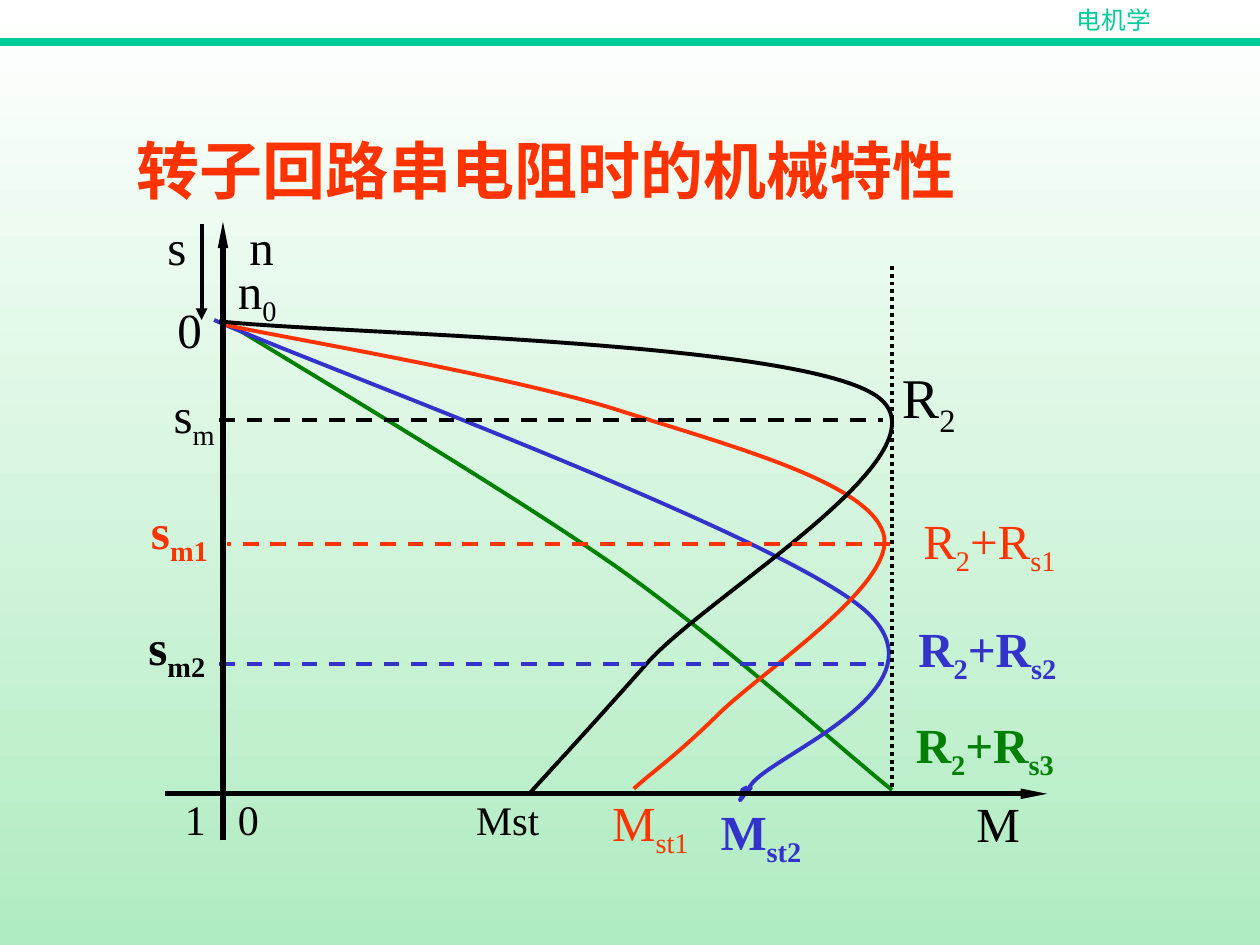
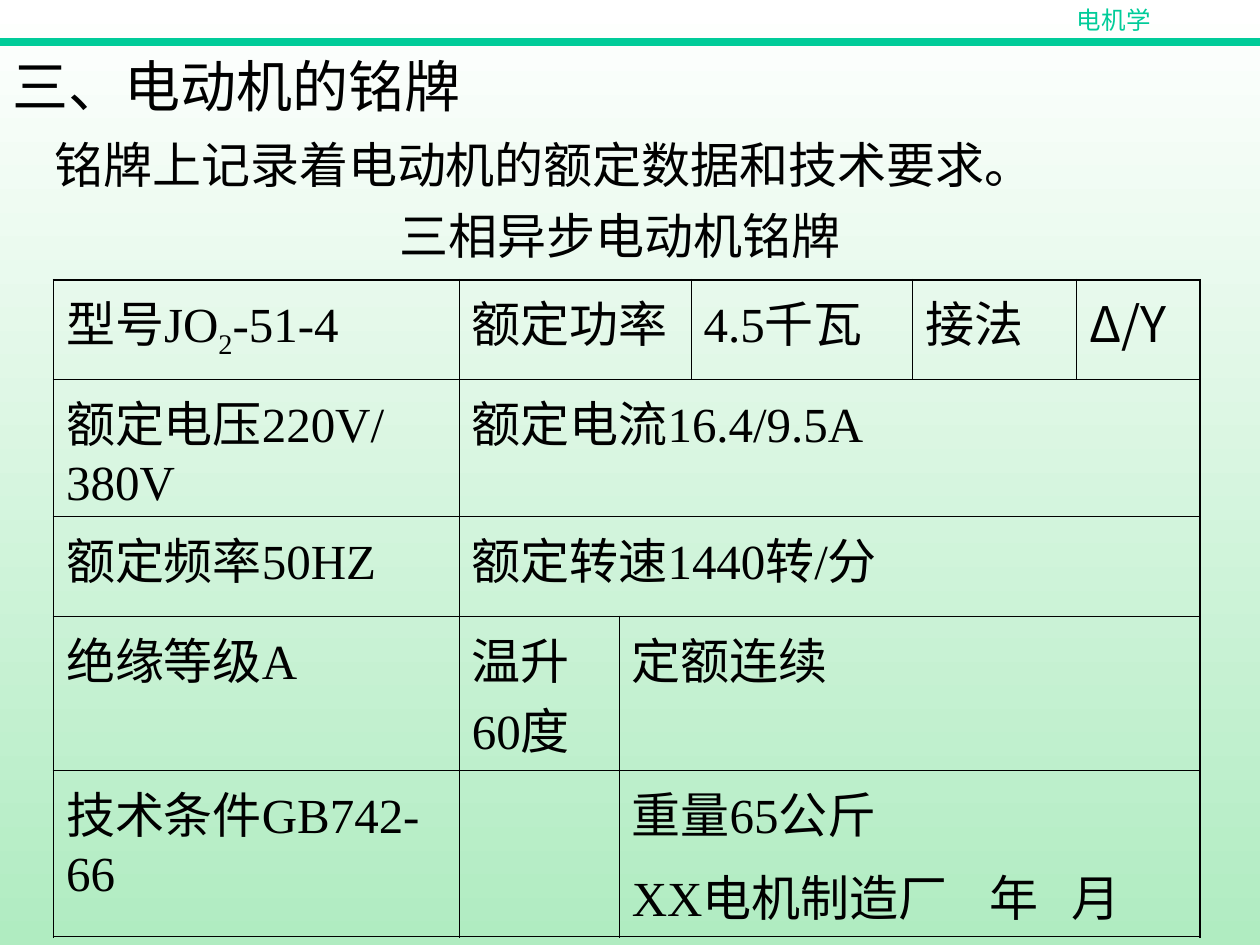
from typing import NamedTuple

from lxml import etree
from pptx import Presentation
from pptx import util as u
from pptx.dml.color import RGBColor
from pptx.enum import dml, text
from pptx.enum.shapes import MSO_CONNECTOR
from pptx.oxml.ns import qn

# The slide is a grid of 100 columns by 75 rows.
CELL = u.Inches(0.1)
COLS, ROWS = 100, 75
LATIN, CJK = "Times New Roman", "Noto Sans CJK SC"
COLORS = {
    "black": "000000", "teal": "00CC99", "red": "FF3300", "blue": "3333CC",
    "green": "008000", "white": "FFFFFF", "mint": "B0ECC1",
}
DASH, DOT = dml.MSO_LINE.DASH, dml.MSO_LINE.ROUND_DOT

Point = tuple[float, float]


class Box(NamedTuple):
    x: float
    y: float
    w: float
    h: float


class Label(NamedTuple):
    """Words split by bars: every second part is a subscript."""
    words: str
    box: Box
    color: str = "black"
    bold: bool = False
    size: float = 28
    tabs: tuple[float, ...] = ()


class Rule(NamedTuple):
    start: Point
    end: Point
    color: str = "black"
    width: float = 2.25
    dash: dml.MSO_LINE | None = None
    head: tuple[str, str] | None = None  # arrowhead width and length


class Curve(NamedTuple):
    """Bezier chain: a start point, then three points for each piece."""
    color: str
    points: list[Point]


def g(cells: float) -> int:
    return round(cells * CELL)


def rgb(name: str) -> RGBColor:
    return RGBColor.from_string(COLORS[name])


def place(sp, box: Box) -> None:
    sp.left, sp.top, sp.width, sp.height = map(g, box)


def write(p, words: str, size: float, color: str = "black", bold: bool = False,
          latin: str = LATIN, tabs: tuple[float, ...] = ()) -> None:
    """Fill a paragraph; parts after odd bars become subscripts."""
    if tabs:
        tab_list = etree.SubElement(p._p.get_or_add_pPr(), qn("a:tabLst"))
        for stop in tabs:
            etree.SubElement(tab_list, qn("a:tab"), pos=str(g(stop)), algn="l")
    for i, part in enumerate(words.split("|")):
        if not part:
            continue
        r = p.add_run()
        r.text = part
        if i % 2:
            r._r.get_or_add_rPr().set("baseline", "-25000")
    f = p.font
    f.size, f.bold, f.name = u.Pt(size), bold, latin
    f.color.rgb = rgb(color)
    etree.SubElement(p._p.pPr.find(qn("a:defRPr")), qn("a:ea"), typeface=CJK)


def add_label(s, label: Label):
    sp = s.shapes.add_textbox(*map(g, label.box))
    tf = sp.text_frame
    tf.word_wrap = True
    write(tf.paragraphs[0], label.words, label.size, label.color, label.bold, tabs=label.tabs)
    return tf


def add_rule(s, rule: Rule) -> None:
    sp = s.shapes.add_connector(MSO_CONNECTOR.STRAIGHT, *map(g, rule.start + rule.end))
    sp.line.color.rgb = rgb(rule.color)
    sp.line.width = u.Pt(rule.width)
    if rule.dash:
        sp.line.dash_style = rule.dash
    if rule.head:
        width, length = rule.head
        etree.SubElement(sp.line._ln, qn("a:tailEnd"), type="triangle", w=width, len=length)
    etree.SubElement(sp._element.spPr, qn("a:effectLst"))


def add_curve(s, curve: Curve) -> None:
    """Build a polygon through the control points, then join each three into a Bezier piece."""
    first, *rest = [(g(x), g(y)) for x, y in curve.points]
    pen = s.shapes.build_freeform(*first, scale=1.0)
    pen.add_line_segments(rest, close=False)
    sp = pen.convert_to_shape()
    track = next(sp._element.iter(qn("a:path")))
    lines = track.findall(qn("a:lnTo"))
    for i in range(0, len(lines), 3):
        piece = etree.SubElement(track, qn("a:cubicBezTo"))
        for line in lines[i:i + 3]:
            piece.append(line[0])
            track.remove(line)
    sp.shadow.inherit = False
    sp.fill.background()
    sp.line.color.rgb = rgb(curve.color)
    sp.line.width = u.Pt(2.25)


def set_background(prs) -> None:
    fill = prs.slide_master.background.fill
    fill.gradient()
    fill.gradient_angle = 270
    for stop, name in zip(fill.gradient_stops, ("white", "mint")):
        stop.color.rgb = rgb(name)


def new_slide(prs, title: str, box: Box, size: float, color: str, bold: bool):
    """Title-only slide with the course band on top."""
    s = prs.slides.add_slide(prs.slide_layouts[5])
    add_rule(s, Rule((0, 3.3), (COLS, 3.3), "teal", 4.5))
    tf = add_label(s, Label("电机学", Box(80.9, 0, 15, 3.2), "teal", size=14))
    tf.vertical_anchor = text.MSO_ANCHOR.MIDDLE
    tf.paragraphs[0].alignment = text.PP_ALIGN.CENTER
    place(s.shapes.title, box)
    tf = s.shapes.title.text_frame
    tf.vertical_anchor = text.MSO_ANCHOR.TOP
    tf.auto_size = text.MSO_AUTO_SIZE.NONE
    p = tf.paragraphs[0]
    p.alignment = text.PP_ALIGN.LEFT
    write(p, title, size, color, bold)
    return s


AXIS_X, AXIS_Y, M_MAX = 17.7, 63, 70.8

CURVES = [
    Curve("green", [(17.5, 25.3), (22.7, 28.5), (39.9, 38.7), (48.8, 44.9),
                    (57.7, 51.2), (66.2, 59), (70.8, 62.7)]),
    Curve("blue", [(17, 25.4), (25.6, 29.2), (61.5, 42.3), (68.6, 48.4),
                   (75.7, 54.6), (61.2, 59.9), (59.6, 62.3),
                   (58, 64.7), (59.1, 62.8), (59.1, 62.9),
                   (59, 62.9), (59.2, 62.7), (59.3, 62.7),
                   (59.3, 62.6), (59.6, 62.5), (59.6, 62.5),
                   (59.6, 62.5), (59.5, 62.7), (59.4, 62.7),
                   (59.4, 62.7), (59.3, 62.7), (59.3, 62.7),
                   (59.2, 62.7), (58.9, 62.7), (58.9, 62.7),
                   (58.9, 62.7), (59.2, 62.5), (59.3, 62.5)]),
    Curve("red", [(17.9, 25.8), (23.1, 26.9), (40.2, 29.8), (48.9, 32.5),
                  (57.6, 35.3), (68.8, 38.2), (70.1, 42.3),
                  (71.4, 46.3), (60.1, 53.5), (56.8, 56.9),
                  (53.4, 60.2), (51.6, 61.4), (50.3, 62.6)]),
    Curve("black", [(17.4, 25.5), (26.1, 26.5), (64.1, 27), (69.8, 31.6),
                    (75.4, 36.1), (55.9, 47.4), (51.3, 52.7),
                    (46.7, 57.9), (43.9, 60.9), (42, 63)]),
]

RULES = [
    Rule((17.4, 52.7), (70.2, 52.7), "blue", dash=DASH),
    Rule((70.6, 43.15), (18, 43.15), "red", dash=DASH),
    Rule((17.4, 33.3), (70.1, 33.3), dash=DASH),
    Rule((M_MAX, 21.1), (M_MAX, 63.1), dash=DOT),
    Rule((AXIS_X, 66.7), (AXIS_X, 17.6), width=3, head=("sm", "lg")),
    Rule((13.1, AXIS_Y), (83.1, AXIS_Y), width=3, head=("sm", "lg")),
    Rule((16, 17.8), (16, 25.4), head=("med", "med")),
]

LABELS = [
    Label("R|2|+R|s3", Box(71.7, 56.2, 14.2, 6.3), "green", True),
    Label("R|2|+R|s2", Box(71.9, 48.6, 15.7, 6.3), "blue", True),
    Label("R|2|+R|s1", Box(72.3, 40, 13.3, 6.3), "red"),
    Label("R|2", Box(70.6, 28.3, 9.2, 7.1), size=32),
    Label("s|m", Box(12.8, 30, 9.2, 6.3)),
    Label("s|m1", Box(11, 39.2, 8.3, 6.3), "red", True),
    Label("s|m2", Box(10.8, 48.4, 8.3, 6.3), bold=True),
    Label("M|st1", Box(47.6, 62.4, 8.6, 6.3), "red"),
    Label("M|st2", Box(56.2, 63.1, 9.2, 6.3), "blue", True),
    Label("|Mst", Box(36.8, 58.9, 9.4, 8.6), size=40),
    Label("M", Box(76.5, 62.5, 8.3, 5.7)),
    Label("1\t0", Box(13.7, 62.5, 9.4, 5), size=24, tabs=(4.2,)),
    Label("s\tn", Box(12.3, 16.7, 12.5, 5.7), tabs=(6.5,)),
    Label("0", Box(13.1, 23.3, 5.8, 5.7)),
    Label("n|0", Box(17.9, 20.2, 6.7, 6.3)),
]


def build_characteristic(prs) -> None:
    s = new_slide(prs, "转子回路串电阻时的机械特性", Box(9.8, 9.9, 85, 10.8), 36, "red", True)
    for draw, items in ((add_curve, CURVES), (add_rule, RULES), (add_label, LABELS)):
        for item in items:
            draw(s, item)


PLATE_COLS = [32.2, 12.7, 5.7, 17.6, 13, 9.8]
PLATE_ROWS = [7.9, 10.9, 7.9, 12.25, 13.2]
# Each entry: words and the number of columns they cover.
PLATE = [
    [("型号JO|2|-51-4", 1), ("额定功率", 2), ("4.5千瓦", 1), ("接法", 1), ("Δ/Y", 1)],
    [("额定电压220V/380V", 1), ("额定电流16.4/9.5A", 5)],
    [("额定频率50HZ", 1), ("额定转速1440转/分", 5)],
    [("绝缘等级A", 1), ("温升60度", 1), ("定额连续", 4)],
    [("技术条件GB742-66", 1), ("", 1), ("重量65公斤\nXX电机制造厂\t年\t月", 4)],
]
DATE_TABS = (28.4, 34.9)


def set_borders(cell, outer: dict[str, bool]) -> None:
    """Thick lines on the sides that lie on the table's edge, thin ones elsewhere."""
    tc_pr = cell._tc.get_or_add_tcPr()
    for side, on_edge in outer.items():
        ln = etree.SubElement(tc_pr, qn(f"a:ln{side}"), w=str(u.Pt(1.08 if on_edge else 0.45)))
        fill = etree.SubElement(ln, qn("a:solidFill"))
        etree.SubElement(fill, qn("a:srgbClr"), val=COLORS["black"])


def fill_cell(cell, words: str) -> None:
    tf = cell.text_frame
    for i, line in enumerate(words.split("\n") if words else []):
        p = tf.add_paragraph() if i else tf.paragraphs[0]
        if i:
            p.space_before = u.Pt(7)
        write(p, line, 28, latin=CJK if "Δ" in line else LATIN,
              tabs=DATE_TABS if "\t" in line else ())


def add_plate(s) -> None:
    n_rows, n_cols = len(PLATE_ROWS), len(PLATE_COLS)
    box = Box(4.25, 22.2, sum(PLATE_COLS), sum(PLATE_ROWS))
    table = s.shapes.add_table(n_rows, n_cols, *map(g, box)).table
    table.first_row = table.horz_banding = False
    for col, width in zip(table.columns, PLATE_COLS):
        col.width = g(width)
    for row, height in zip(table.rows, PLATE_ROWS):
        row.height = g(height)
    for r, entries in enumerate(PLATE):
        c = 0
        for words, span in entries:
            end = c + span - 1
            if span > 1:
                table.cell(r, c).merge(table.cell(r, end))
            for k in range(c, end + 1):
                cell = table.cell(r, k)
                set_borders(cell, {"L": c == 0, "R": end == n_cols - 1,
                                   "T": r == 0, "B": r == n_rows - 1})
                cell.fill.background()
            fill_cell(table.cell(r, c), words)
            c = end + 1


def build_nameplate(prs) -> None:
    s = new_slide(prs, "三、电动机的铭牌", Box(0, 3.6, 90, 7.2), 32, "black", False)
    tf = add_label(s, Label("铭牌上记录着电动机的额定数据和技术要求。", Box(3.35, 10.2, 91.7, 12)))
    caption = tf.add_paragraph()
    caption.alignment = text.PP_ALIGN.CENTER
    caption.space_before = u.Pt(7)
    write(caption, "三相异步电动机铭牌", 28)
    add_plate(s)


def main() -> None:
    prs = Presentation()
    prs.slide_width, prs.slide_height = g(COLS), g(ROWS)
    set_background(prs)
    build_characteristic(prs)
    build_nameplate(prs)
    prs.save("out.pptx")


if __name__ == "__main__":
    main()
